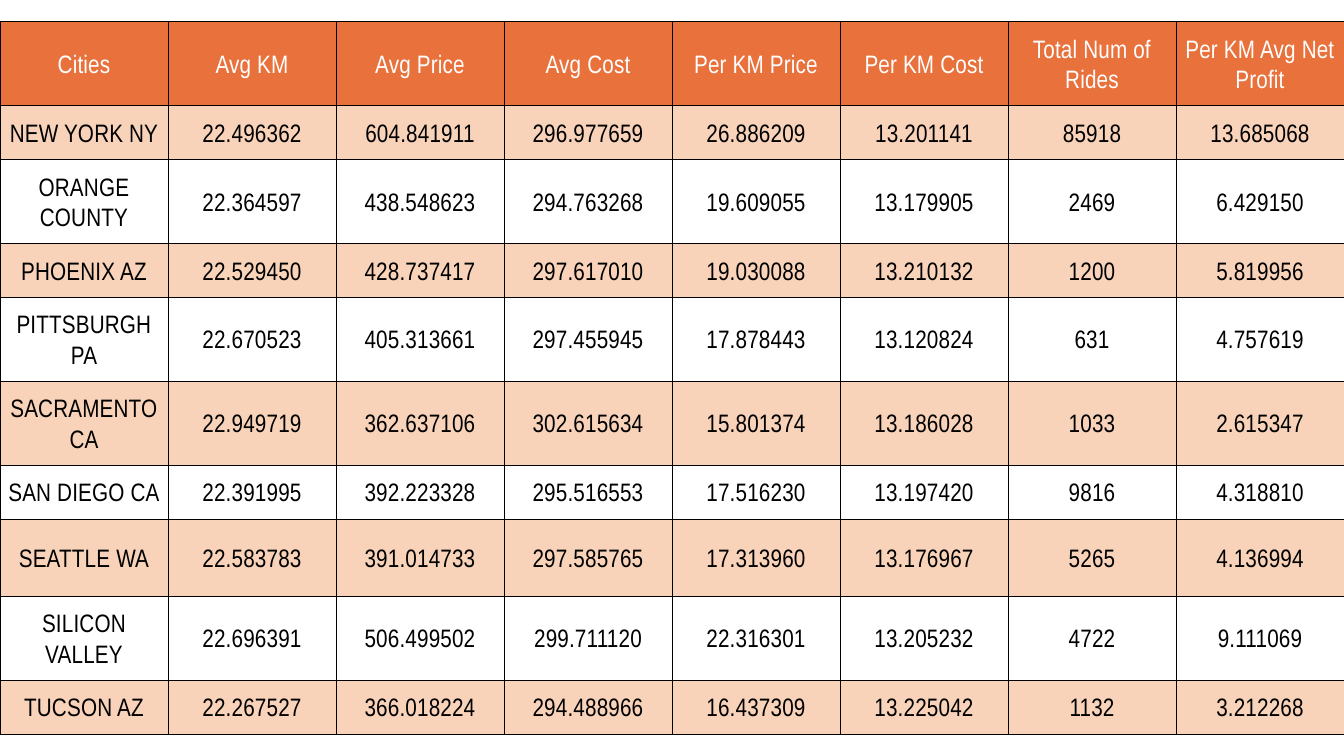
from dataclasses import dataclass

from lxml.etree import SubElement
from pptx import Presentation
from pptx.dml.color import RGBColor as Color
from pptx.enum.text import MSO_ANCHOR as Anchor, PP_ALIGN as Align
from pptx.oxml.ns import qn
from pptx.util import Inches, Pt


@dataclass(frozen=True)
class Theme:
    font: str = "Arial Narrow"
    text_size: float = 27
    line_spacing: float = 32.4
    letter_spacing: float = 0.2
    header_fill: str = "E8713C"
    header_text: str = "FFFFFF"
    band_fills: tuple = ("F8D3BA", "FFFFFF")
    body_text: str = "000000"
    border: str = "000000"
    border_width: float = 0.37


THEME = Theme()
SLIDE_WIDTH, SLIDE_HEIGHT = 20, 11.25
TABLE_TOP = 0.32
CELL_MARGIN = 0.1
ONE_LINE, TWO_LINES, SEATTLE_HEIGHT = 0.8, 1.25, 1.15

HEADERS = ("Cities", "Avg KM", "Avg Price", "Avg Cost", "Per KM Price",
           "Per KM Cost", "Total Num of Rides", "Per KM Avg Net Profit")

# Each city row: height, then one text per column.
CITIES = (
    (ONE_LINE, "NEW YORK NY", "22.496362", "604.841911", "296.977659",
     "26.886209", "13.201141", "85918", "13.685068"),
    (TWO_LINES, "ORANGE COUNTY", "22.364597", "438.548623", "294.763268",
     "19.609055", "13.179905", "2469", "6.429150"),
    (ONE_LINE, "PHOENIX AZ", "22.529450", "428.737417", "297.617010",
     "19.030088", "13.210132", "1200", "5.819956"),
    (TWO_LINES, "PITTSBURGH PA", "22.670523", "405.313661", "297.455945",
     "17.878443", "13.120824", "631", "4.757619"),
    (TWO_LINES, "SACRAMENTO CA", "22.949719", "362.637106", "302.615634",
     "15.801374", "13.186028", "1033", "2.615347"),
    (ONE_LINE, "SAN DIEGO CA", "22.391995", "392.223328", "295.516553",
     "17.516230", "13.197420", "9816", "4.318810"),
    (SEATTLE_HEIGHT, "SEATTLE WA", "22.583783", "391.014733", "297.585765",
     "17.313960", "13.176967", "5265", "4.136994"),
    (TWO_LINES, "SILICON VALLEY", "22.696391", "506.499502", "299.711120",
     "22.316301", "13.205232", "4722", "9.111069"),
    (ONE_LINE, "TUCSON AZ", "22.267527", "366.018224", "294.488966",
     "16.437309", "13.225042", "1132", "3.212268"),
)


def write_text(cell, text, *, color, size=THEME.text_size, font=THEME.font):
    paragraph = cell.text_frame.paragraphs[0]
    paragraph.alignment = Align.CENTER
    paragraph.line_spacing = Pt(THEME.line_spacing)
    run = paragraph.add_run()
    run.text = text
    run.font.name = font
    run.font.size = Pt(size)
    run.font.color.rgb = Color.from_string(color)
    run.font._element.set("spc", str(round(THEME.letter_spacing * 100)))


def add_borders(cell):
    """Outline all four sides; must run before the cell is filled."""
    properties = cell._tc.get_or_add_tcPr()
    for side in ("a:lnL", "a:lnR", "a:lnT", "a:lnB"):
        line = SubElement(properties, qn(side), w=str(Pt(THEME.border_width)))
        fill = SubElement(line, qn("a:solidFill"))
        SubElement(fill, qn("a:srgbClr"), val=THEME.border)


def format_cell(cell, *, fill):
    cell.vertical_anchor = Anchor.MIDDLE
    cell.margin_left = cell.margin_right = Inches(CELL_MARGIN)
    cell.margin_top = cell.margin_bottom = Inches(CELL_MARGIN)
    add_borders(cell)
    cell.fill.solid()
    cell.fill.fore_color.rgb = Color.from_string(fill)


def fill_row(row, height, texts, *, fill, color):
    row.height = Inches(height)
    for cell, text in zip(row.cells, texts):
        format_cell(cell, fill=fill)
        write_text(cell, text, color=color)


def add_city_table(slide):
    table_height = TWO_LINES + sum(height for height, *_ in CITIES)
    table = slide.shapes.add_table(
        len(CITIES) + 1, len(HEADERS), 0, Inches(TABLE_TOP),
        Inches(SLIDE_WIDTH), Inches(table_height)).table
    for column in table.columns:
        column.width = Inches(SLIDE_WIDTH / len(HEADERS))

    header_row, *city_rows = table.rows
    fill_row(header_row, TWO_LINES, HEADERS,
             fill=THEME.header_fill, color=THEME.header_text)
    for index, (row, (height, *texts)) in enumerate(zip(city_rows, CITIES)):
        fill_row(row, height, texts,
                 fill=THEME.band_fills[index % 2], color=THEME.body_text)


def main():
    presentation = Presentation()
    presentation.slide_width = Inches(SLIDE_WIDTH)
    presentation.slide_height = Inches(SLIDE_HEIGHT)
    blank_layout = presentation.slide_layouts.get_by_name("Blank")
    slide = presentation.slides.add_slide(blank_layout)
    add_city_table(slide)
    presentation.save("out.pptx")


if __name__ == "__main__":
    main()
